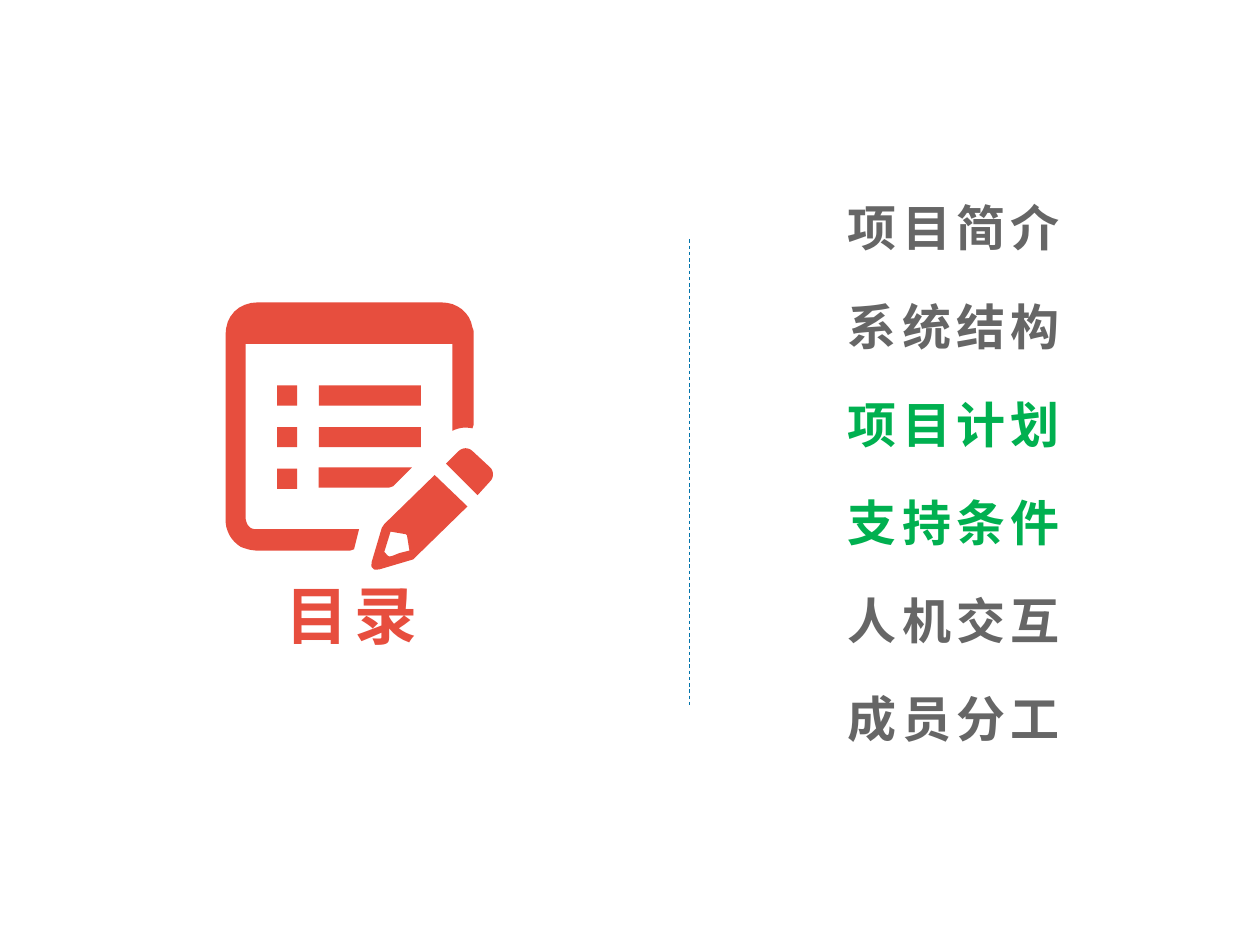
from lxml import etree
from pptx import Presentation, util as u
from pptx.dml.color import RGBColor
from pptx.enum import dml, shapes, text
from pptx.oxml import ns

RED, GRAY, GREEN = "E74E3E", "666666", "00B050"
FONT = "Noto Sans CJK SC"


def paint(part, color):
    part.fill.solid()
    part.fill.fore_color.rgb = RGBColor.from_string(color)


def style(para, size, color):
    font = para.font
    font.size, font.bold, font.name = u.Pt(size), True, FONT
    paint(font, color)
    props = para._p.pPr.find(ns.qn("a:defRPr"))
    props.set("spc", "300")
    etree.SubElement(props, ns.qn("a:ea"), typeface=FONT)


prs = Presentation()
prs.slide_width, prs.slide_height = u.Inches(10), u.Inches(7.5)
slide = prs.slides.add_slide(prs.slide_layouts[1])
title, body = slide.placeholders

title.left, title.top = u.Inches(1.41), u.Inches(4.52)
title.width, title.height = u.Inches(2.76), u.Inches(0.71)
title.text = "目录"
title.text_frame.auto_size = text.MSO_AUTO_SIZE.NONE
title.text_frame.vertical_anchor = text.MSO_ANCHOR.MIDDLE
para = title.text_frame.paragraphs[0]
para.alignment = text.PP_ALIGN.CENTER
style(para, 36, RED)

body.left, body.top = u.Inches(6.63), u.Inches(1.57)
body.width, body.height = u.Inches(1.96), u.Inches(4.5)
frame = body.text_frame
frame.auto_size = text.MSO_AUTO_SIZE.NONE
frame.vertical_anchor = text.MSO_ANCHOR.TOP
frame.margin_top = frame.margin_bottom = 0
items = ["项目简介", "系统结构", "项目计划", "支持条件", "人机交互", "成员分工"]
frame.text = "\n".join(items)
for para in frame.paragraphs:
    para.space_before, para.space_after = u.Pt(0), u.Pt(22.5)
    props = para._p.get_or_add_pPr()
    props.set("marL", "0")
    props.set("indent", "0")
    etree.SubElement(props, ns.qn("a:buNone"))
    style(para, 28, GREEN if para.text in items[2:4] else GRAY)

rule = slide.shapes.add_connector(
    shapes.MSO_CONNECTOR.STRAIGHT, u.Inches(5.47), u.Inches(1.9), u.Inches(5.47), u.Inches(5.6))
rule.line.color.rgb = RGBColor.from_string("0174AB")
rule.line.width = u.Pt(0.5)
rule.line.dash_style = dml.MSO_LINE.DASH
etree.SubElement(rule._element.spPr, ns.qn("a:effectLst"))

page = [[
    (2.85, 4.2), (2.81, 4.36), (2.78, 4.37), (2.05, 4.37),
    (2, 4.37, 1.96, 4.36, 1.91, 4.34), (1.83, 4.29, 1.79, 4.21, 1.79, 4.12),
    (1.79, 2.66), (1.79, 2.51, 1.89, 2.4, 2.05, 2.4), (3.5, 2.4),
    (3.63, 2.4, 3.73, 2.48, 3.75, 2.6), (3.76, 2.62, 3.76, 2.64, 3.76, 2.66),
    (3.76, 3.37), (3.75, 3.4), (3.7, 3.39, 3.65, 3.39, 3.59, 3.42),
    (3.59, 2.73), (1.95, 2.73), (1.95, 4.1), (1.95, 4.16, 1.98, 4.21, 2.05, 4.2)]]
pencil = [
    [(3.45, 3.77), (3.71, 4.02), (3.31, 4.41), (3.28, 4.44), (3.01, 4.52),
     (2.99, 4.52, 2.97, 4.53, 2.96, 4.51), (2.94, 4.5, 2.95, 4.48, 2.95, 4.46),
     (3.03, 4.19), (3.05, 4.16)],
    [(3.1, 4.22), (3.05, 4.38), (3.06, 4.39), (3.08, 4.42, 3.09, 4.42, 3.12, 4.41),
     (3.17, 4.39), (3.25, 4.37), (3.23, 4.25), (3.22, 4.24)]]
bar = [[(2.53, 3.71), (3.27, 3.71), (3.12, 3.86), (3.09, 3.87), (2.53, 3.87)]]
eraser = [[
    (3.54, 3.68), (3.64, 3.58), (3.67, 3.55, 3.72, 3.55, 3.75, 3.58), (3.89, 3.71),
    (3.92, 3.74, 3.92, 3.79, 3.89, 3.82), (3.79, 3.93)]]

icon = slide.shapes.add_group_shape()
parts = []
for outline in (page, pencil, bar, eraser):
    build = None
    for ring in outline:
        dots = [ring[0]]
        for step in ring[1:]:
            if len(step) == 2:
                dots.append(step)
                continue
            knots = [dots[-1], step[:2], step[2:4], step[4:]]
            for i in range(1, 9):
                t = i / 8
                mix = ((1 - t) ** 3, 3 * t * (1 - t) ** 2, 3 * t * t * (1 - t), t ** 3)
                dots.append(tuple(sum(m * k[a] for m, k in zip(mix, knots)) for a in (0, 1)))
        dots = [(x * 1000, y * 1000) for x, y in dots]
        if build is None:
            build = icon.shapes.build_freeform(*dots[0], scale=u.Inches(1) / 1000)
        else:
            build.move_to(*dots[0])
        build.add_line_segments(dots[1:], close=True)
    parts.append(build.convert_to_shape())

for x, y, wide in [(2.2, 3.06, 0.16), (2.2, 3.39, 0.16), (2.2, 3.72, 0.16),
                   (2.53, 3.06, 0.81), (2.53, 3.39, 0.81)]:
    parts.append(icon.shapes.add_shape(
        shapes.MSO_SHAPE.RECTANGLE, u.Inches(x), u.Inches(y), u.Inches(wide), u.Inches(0.16)))

for part in parts:
    paint(part, RED)
    part.line.fill.background()
    part.shadow.inherit = False

prs.save("out.pptx")
